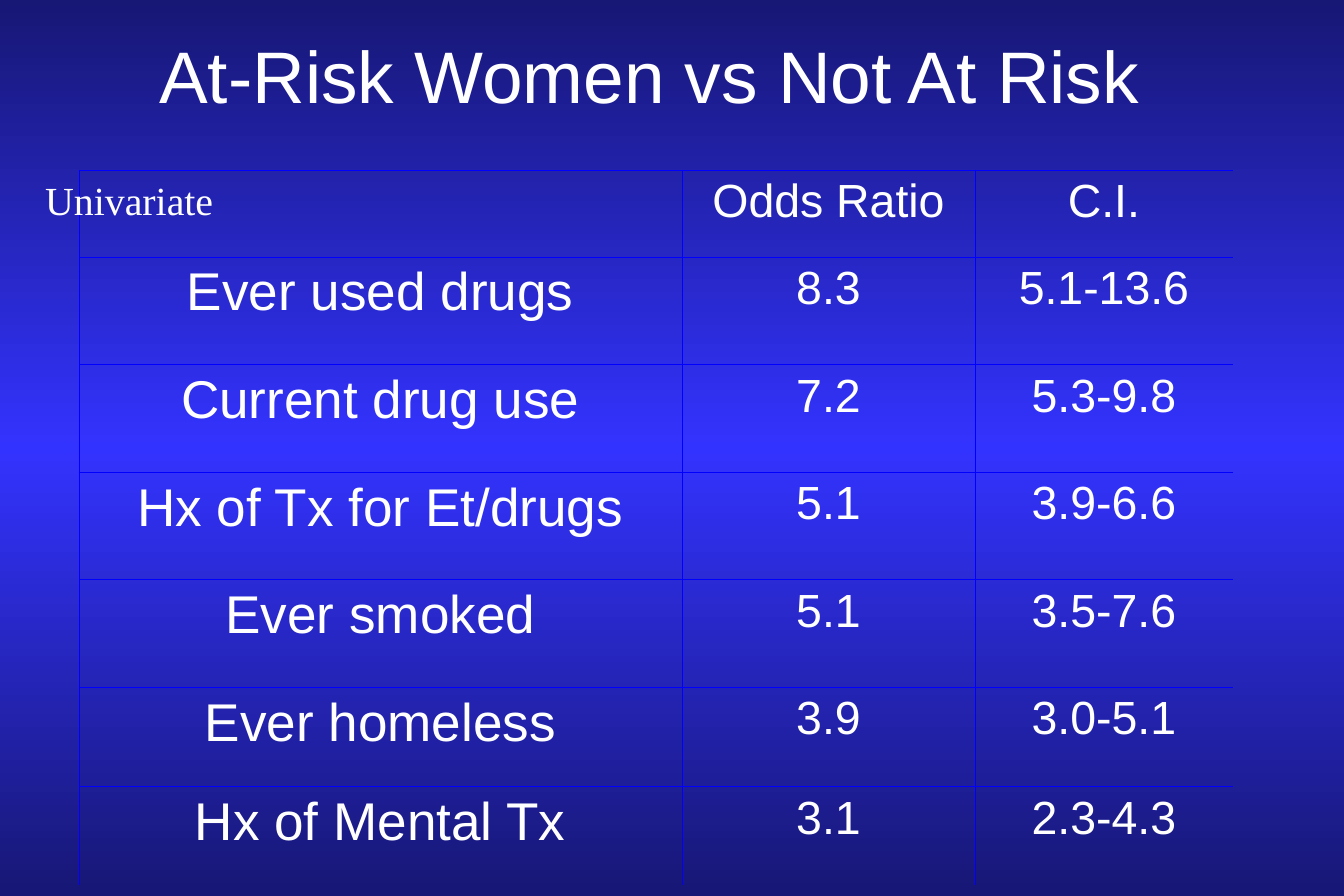
from copy import deepcopy
from dataclasses import dataclass

from lxml.etree import SubElement
from pptx import Presentation
from pptx.dml.color import RGBColor
from pptx.enum.text import MSO_ANCHOR, PP_ALIGN
from pptx.oxml.ns import qn
from pptx.slide import Slide
from pptx.table import _Cell
from pptx.text.text import TextFrame
from pptx.util import Emu, Pt


@dataclass(frozen=True)
class Theme:
    edge: str = "171775"
    glow: str = "3333FF"
    grid: str = "0000FF"
    ink: str = "FFFFFF"
    sans: str = "Arial"
    serif: str = "Times New Roman"
    title_size: int = 44
    factor_size: int = 32
    value_size: int = 28
    note_size: int = 24
    grid_width: float = 0.11
    plain_table: str = "{2D5ABB26-0587-4C30-8999-92F81FD0307C}"


@dataclass(frozen=True)
class Label:
    text: str
    left: int
    top: int
    width: int
    height: int
    size: int
    font: str
    align: PP_ALIGN
    anchor: MSO_ANCHOR


@dataclass(frozen=True)
class Finding:
    factor: str
    odds_ratio: str
    interval: str


THEME = Theme()
TABLE_LEFT, TABLE_TOP = 66, 142
COLUMN_WIDTHS = [505, 245, 216]
ROW_HEIGHTS = [73] + [90] * 4 + [83] * 2

LABELS = [
    Label("At-Risk Women vs Not At Risk", TABLE_LEFT, 0, 956, 125,
          THEME.title_size, THEME.sans, PP_ALIGN.CENTER, MSO_ANCHOR.MIDDLE),
    Label("Univariate", 28, TABLE_TOP, 347, 50,
          THEME.note_size, THEME.serif, PP_ALIGN.LEFT, MSO_ANCHOR.TOP),
]

FINDINGS = [
    Finding("", "Odds Ratio", "C.I."),
    Finding("Ever used drugs", "8.3", "5.1-13.6"),
    Finding("Current drug use", "7.2", "5.3-9.8"),
    Finding("Hx of Tx for Et/drugs", "5.1", "3.9-6.6"),
    Finding("Ever smoked", "5.1", "3.5-7.6"),
    Finding("Ever homeless", "3.9", "3.0-5.1"),
    Finding("Hx of Mental Tx", "3.1", "2.3-4.3"),
]


def px(length: int) -> Emu:
    return Emu(length * 9144)


def paint_background(page: Slide) -> None:
    fill = page.background.fill
    fill.gradient()
    fill.gradient_angle = 270
    stop_list = page.element.find(".//" + qn("a:gsLst"))
    stop_list.insert(1, deepcopy(stop_list[0]))
    colors = [THEME.edge, THEME.glow, THEME.edge]
    for stop, color, position in zip(fill.gradient_stops, colors, [0, 0.5, 1]):
        stop.color.rgb = RGBColor.from_string(color)
        stop.position = position


def write_text(frame: TextFrame, text: str, size: int, font: str, align: PP_ALIGN) -> None:
    frame.text = text
    para = frame.paragraphs[0]
    para.alignment = align
    for span in para.runs:
        span.font.size = Pt(size)
        span.font.name = font
        span.font.color.rgb = RGBColor.from_string(THEME.ink)


def add_label(page: Slide, label: Label) -> None:
    box = page.shapes.add_textbox(
        px(label.left), px(label.top), px(label.width), px(label.height))
    frame = box.text_frame
    frame.word_wrap = True
    frame.vertical_anchor = label.anchor
    write_text(frame, label.text, label.size, label.font, label.align)


def set_borders(cell: _Cell, last_row: bool, last_column: bool) -> None:
    properties = cell._tc.get_or_add_tcPr()
    visible = {"L": True, "R": not last_column, "T": True, "B": not last_row}
    for side, shown in visible.items():
        line = SubElement(properties, qn(f"a:ln{side}"), w=str(Pt(THEME.grid_width)))
        if shown:
            fill = SubElement(line, qn("a:solidFill"))
            SubElement(fill, qn("a:srgbClr"), val=THEME.grid)
        else:
            SubElement(line, qn("a:noFill"))


def add_findings(page: Slide) -> None:
    holder = page.shapes.add_table(
        len(ROW_HEIGHTS), len(COLUMN_WIDTHS), px(TABLE_LEFT), px(TABLE_TOP),
        px(sum(COLUMN_WIDTHS)), px(sum(ROW_HEIGHTS)))
    table = holder.table
    table.first_row = False
    table.horz_banding = False
    table._tbl.tblPr.find(qn("a:tableStyleId")).text = THEME.plain_table
    for column, width in zip(table.columns, COLUMN_WIDTHS):
        column.width = px(width)
    for row, height in zip(table.rows, ROW_HEIGHTS):
        row.height = px(height)
    for row_index, finding in enumerate(FINDINGS):
        texts = [finding.factor, finding.odds_ratio, finding.interval]
        for column_index, text in enumerate(texts):
            cell = table.cell(row_index, column_index)
            size = THEME.value_size if column_index else THEME.factor_size
            write_text(cell.text_frame, text, size, THEME.sans, PP_ALIGN.CENTER)
            set_borders(cell, row_index == len(FINDINGS) - 1,
                        column_index == len(texts) - 1)
            cell.fill.background()


def main() -> None:
    deck = Presentation()
    deck.slide_width, deck.slide_height = px(1125), px(750)
    page = deck.slides.add_slide(deck.slide_layouts[6])
    paint_background(page)
    title, note = LABELS
    add_label(page, title)
    add_findings(page)
    add_label(page, note)
    deck.save("out.pptx")


if __name__ == "__main__":
    main()
